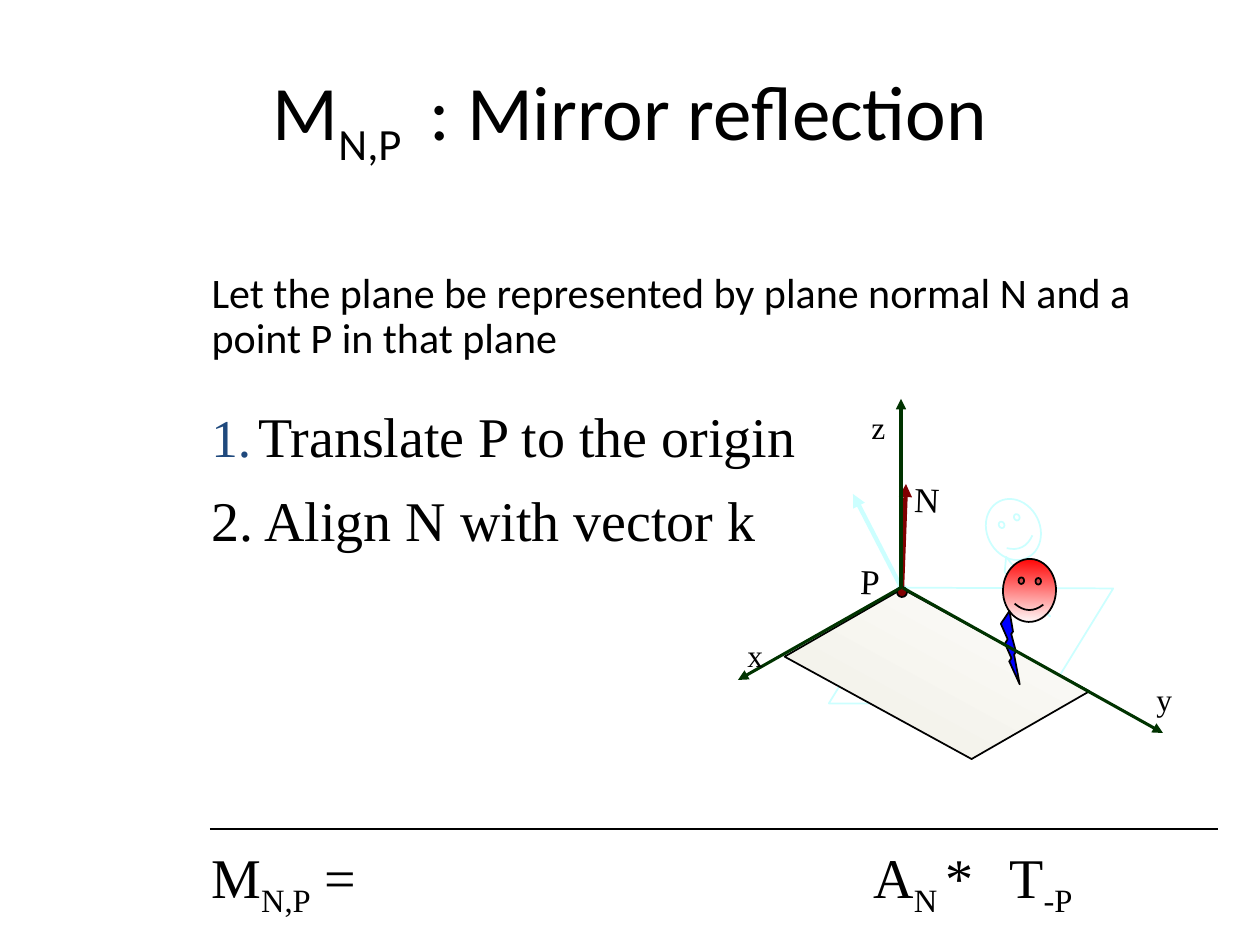
from lxml.etree import SubElement
from pptx import Presentation
from pptx.dml.color import RGBColor
from pptx.enum.shapes import MSO_CONNECTOR, MSO_SHAPE
from pptx.enum.text import MSO_ANCHOR, MSO_AUTO_SIZE, PP_ALIGN
from pptx.oxml.ns import qn
from pptx.util import Pt

EMU_PER_PX = 914400 / 126
SERIF = "Times New Roman"
BLACK, PALE, MAROON, GREEN = "000000", "CCFFFF", "800000", "003300"
color = RGBColor.from_string


def px(*lengths):
    return [round(length * EMU_PER_PX) for length in lengths]


def write(frame, runs, font_name, size, **frame_format):
    """Fill the first paragraph; runs marked True are subscripts."""
    for key, value in frame_format.items():
        setattr(frame, key, value)
    paragraph = frame.paragraphs[0]
    for text, subscript in runs:
        run = paragraph.add_run()
        run.text = text
        for key, value in {"name": font_name, "size": Pt(size)}.items():
            setattr(run.font, key, value)
        run.font.color.rgb = color(BLACK)
        if subscript:
            run._r.get_or_add_rPr().set("baseline", "-25000")
    return paragraph


presentation = Presentation()
presentation.slide_width, presentation.slide_height = px(1260, 945)
slide = presentation.slides.add_slide(presentation.slide_layouts[1])

# Title and introduction
title, intro = slide.shapes.title, slide.placeholders[1]
title.left, title.top, title.width, title.height = px(63, 38, 1134, 157)
heading = write(title.text_frame,
                [("M", False), ("N,P ", True), (" : Mirror reflection", False)],
                "Calibri", 44, vertical_anchor=MSO_ANCHOR.MIDDLE)
heading.alignment = PP_ALIGN.CENTER

intro.left, intro.top, intro.width, intro.height = px(199, 262, 1029, 116)
sentence = write(
    intro.text_frame,
    [("Let the plane be represented by plane normal N and a point P in that plane", False)],
    "Calibri", 24, margin_top=px(10)[0], vertical_anchor=MSO_ANCHOR.TOP)
for key, value in {"line_spacing": 0.9, "space_before": Pt(0)}.items():
    setattr(sentence, key, value)
sentence_properties = sentence._p.get_or_add_pPr()
sentence_properties.set("marL", "0")
sentence_properties.set("indent", "0")
SubElement(sentence_properties, qn("a:buNone"))

# Steps and the matrix product
statements = [
    ((199, 388, 658, 63), [("Translate P to the origin", False)], True),
    ((199, 472, 658, 63), [("2. Align N with vector k", False)], False),
    ((199, 829, 189, 63), [("M", False), ("N,P", True), (" =", False)], False),
    ((997, 829, 105, 63), [("T", False), ("-P", True)], False),
    ((861, 829, 147, 63), [("A", False), ("N ", True), ("*", False)], False),
]
hanging = px(47)[0]
for box, runs, numbered in statements:
    statement = slide.shapes.add_textbox(*px(*box)).text_frame
    paragraph = write(statement, runs, SERIF, 32,
                      word_wrap=True, margin_top=px(14)[0])
    properties = paragraph._p.get_or_add_pPr()
    properties.set("marL", str(hanging))
    properties.set("indent", str(-hanging))
    if numbered:
        number_color = SubElement(properties, qn("a:buClr"))
        SubElement(number_color, qn("a:srgbClr"), val="1F497D")
        SubElement(properties, qn("a:buSzPct"), val="95000")
        SubElement(properties, qn("a:buFont"), typeface=SERIF)
        SubElement(properties, qn("a:buAutoNum"), type="arabicPeriod")

# Figure, back to front: the pale start position, the aligned scene, the axes
scene = slide.shapes
start = scene.add_group_shape().shapes
axes = scene.add_group_shape().shapes
PLANE, POINT = MSO_SHAPE.PARALLELOGRAM, MSO_SHAPE.OVAL
HEAD, BODY = MSO_SHAPE.SMILEY_FACE, MSO_SHAPE.LIGHTNING_BOLT
ARROW = None
adjustment = {PLANE: 0.61, HEAD: 0.05}

# Parent, kind, box or end points, rotation, fill (two colours: gradient), line
figure = [
    (start, PLANE, (829, 588, 284, 116), 0.2, [], PALE, 1),
    (start, ARROW, (901, 587, 853, 494), 0, [], PALE, 2.5),
    (start, POINT, (897, 585, 10, 10), 333.5, [], PALE, 1),
    (start, HEAD, (987, 498, 53, 63), 333.5, [], PALE, 1),
    (start, BODY, (1014, 552, 21, 73), 333.5, [], PALE, 1),
    (scene, ARROW, (210, 829, 1218, 829), 0, [], BLACK, 1),
    (scene, PLANE, (795, 616, 284, 116), 28.7, ["FFFFFF", "EEECE1"], BLACK, 1),
    (scene, ARROW, (902, 588, 906, 484), 0, [], MAROON, 2.5),
    (scene, POINT, (897, 587, 10, 10), 2, [MAROON], BLACK, 1),
    (scene, HEAD, (1003, 559, 53, 63), 2, ["FF0000", "FFFFFF"], BLACK, 1),
    (scene, BODY, (1000, 611, 21, 73), 2, ["0000FF"], BLACK, 1),
    (axes, ARROW, (901, 588, 901, 399), 0, [], GREEN, 1.75),
    (axes, ARROW, (902, 587, 738, 680), 0, [], GREEN, 1.75),
    (axes, ARROW, (903, 588, 1163, 733), 0, [], GREEN, 1.75),
]
for parent, kind, place, rotation, fills, line_color, line_width in figure:
    if kind is ARROW:
        part = parent.add_connector(MSO_CONNECTOR.STRAIGHT, *px(*place))
    else:
        part = parent.add_shape(kind, *px(*place))
        part.shadow.inherit = False
        part.rotation = rotation
        if kind in adjustment:
            part.adjustments[0] = adjustment[kind]
        if len(fills) == 2:
            part.fill.gradient()
            part.fill.gradient_angle = 270
            for stop, stop_color, position in zip(part.fill.gradient_stops, fills, (0, 1)):
                stop.color.rgb = color(stop_color)
                stop.position = position
        elif fills:
            part.fill.solid()
            part.fill.fore_color.rgb = color(fills[0])
        else:
            part.fill.background()
    part.line.color.rgb = color(line_color)
    part.line.width = Pt(line_width)
    if kind is ARROW:
        if line_width > 1:
            SubElement(part.line._get_or_add_ln(), qn("a:tailEnd"), type="triangle")
        SubElement(part._element.spPr, qn("a:effectLst"))

# The axes lie over the scene
axes_element = axes._element
axes_element.getparent().append(axes_element)

# Letters of the normal, the point and the axes
letters = [
    (scene, "N", (902, 472, 50, 54), 2, 20),
    (scene, "P", (848, 554, 45, 54), 2, 20),
    (axes, "x", (735, 630, 42, 50), 0, 18),
    (axes, "y", (1144, 674, 42, 50), 0, 18),
    (axes, "z", (859, 402, 39, 50), 0, 18),
]
for parent, letter, box, rotation, size in letters:
    label = parent.add_textbox(*px(*box))
    label.rotation = rotation
    write(label.text_frame, [(letter, False)], SERIF, size,
          word_wrap=False, auto_size=MSO_AUTO_SIZE.SHAPE_TO_FIT_TEXT)

presentation.save("out.pptx")
